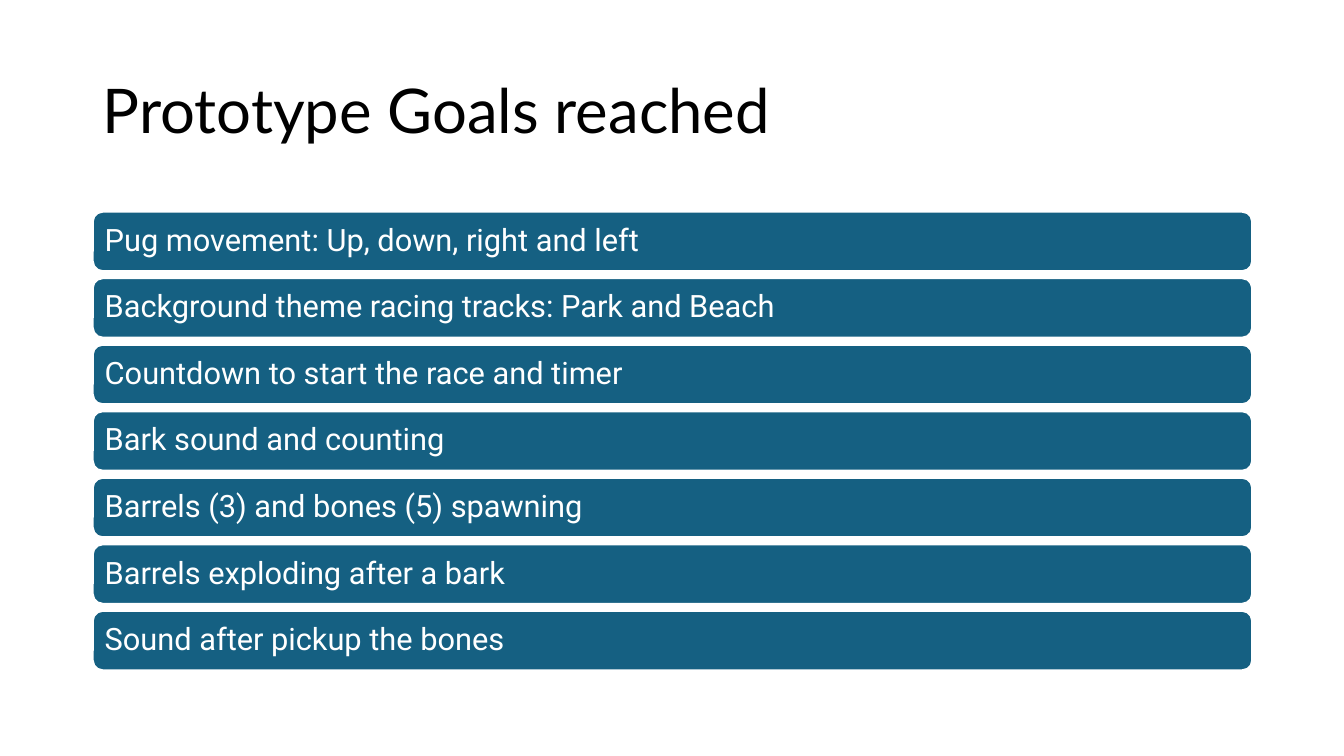
from pptx import Presentation
from pptx.dml.color import RGBColor
from pptx.enum import shapes, text
from pptx.util import Inches, Pt

TITLE = "Prototype Goals reached"
GOALS = [
    "Pug movement: Up, down, right and left",
    "Background theme racing tracks: Park and Beach",
    "Countdown to start the race and timer",
    "Bark sound and counting",
    "Barrels (3) and bones (5) spawning",
    "Barrels exploding after a bark",
    "Sound after pickup the bones",
]
BLACK, WHITE, TEAL = "000000", "FFFFFF", "156082"
LEFT, WIDTH = 0.92, 11.5
TITLE_TOP, TITLE_HEIGHT = 0.4, 1.45
BAR_TOP, BAR_HEIGHT, BAR_STEP = 2.1, 0.59, 0.66


def color(value):
    return RGBColor.from_string(value)


def write(shape, wording, font, size, ink, inset):
    """Put one left-aligned, vertically centred line of text in a shape."""
    frame = shape.text_frame
    frame.word_wrap = True
    frame.vertical_anchor = text.MSO_ANCHOR.MIDDLE
    frame.margin_left = frame.margin_right = Inches(inset)
    frame.margin_top = frame.margin_bottom = Inches(0.05)
    paragraph = frame.paragraphs[0]
    paragraph.alignment = text.PP_ALIGN.LEFT
    paragraph.line_spacing = 0.9
    run = paragraph.add_run()
    run.text = wording
    run.font.name = font
    run.font.size = Pt(size)
    run.font.color.rgb = color(ink)


def add_goal_bar(slide, goal, top):
    bar = slide.shapes.add_shape(
        shapes.MSO_SHAPE.ROUNDED_RECTANGLE,
        Inches(LEFT), Inches(top), Inches(WIDTH), Inches(BAR_HEIGHT))
    bar.shadow.inherit = False
    bar.fill.solid()
    bar.fill.fore_color.rgb = color(TEAL)
    bar.line.color.rgb = color(WHITE)
    bar.line.width = Pt(1.5)
    write(bar, goal, "Roboto", 22, WHITE, 0.09)


def main():
    presentation = Presentation()
    presentation.slide_width = Inches(13.33)
    presentation.slide_height = Inches(7.5)
    slide = presentation.slides.add_slide(presentation.slide_layouts[6])

    title = slide.shapes.add_textbox(
        Inches(LEFT), Inches(TITLE_TOP), Inches(WIDTH), Inches(TITLE_HEIGHT))
    write(title, TITLE, "Lato", 44, BLACK, 0.1)

    for row, goal in enumerate(GOALS):
        add_goal_bar(slide, goal, BAR_TOP + row * BAR_STEP)

    presentation.save("out.pptx")


if __name__ == "__main__":
    main()
